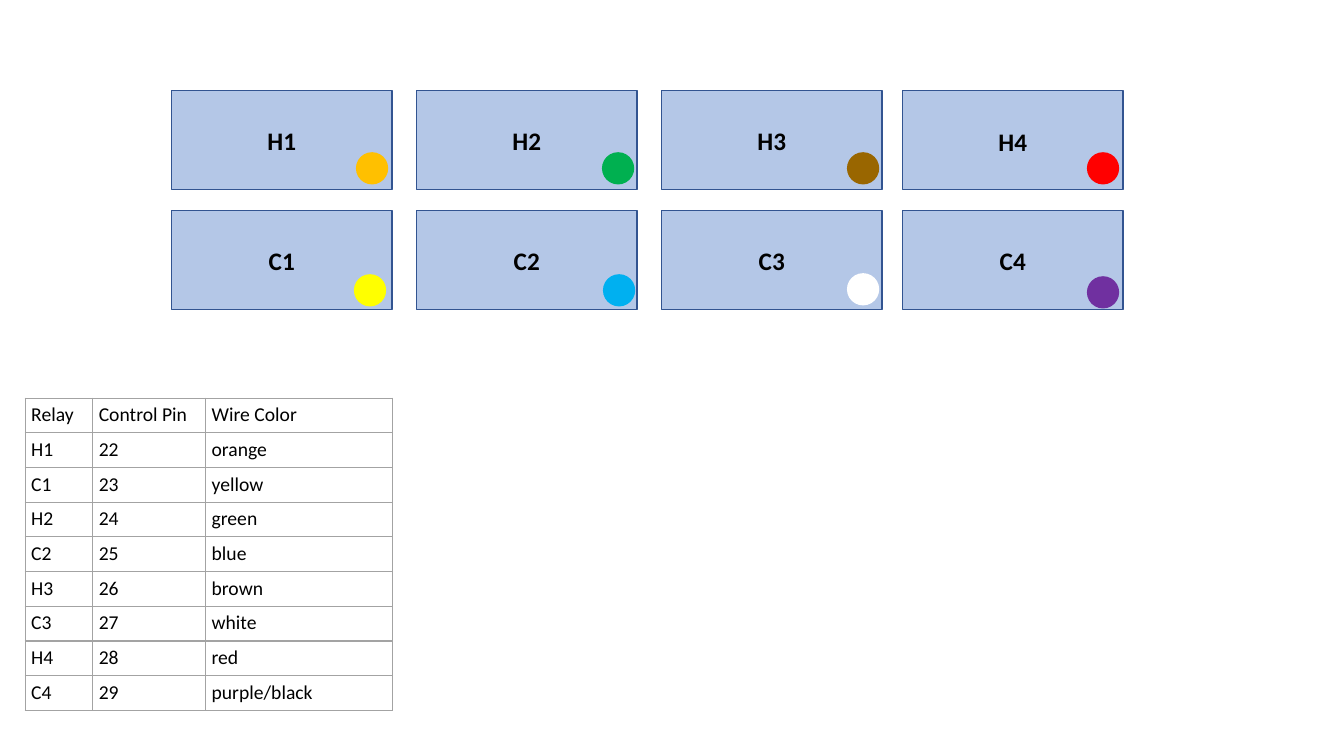
from lxml.etree import SubElement
from pptx import Presentation
from pptx.dml.color import RGBColor
from pptx.enum.shapes import MSO_SHAPE
from pptx.enum.text import MSO_AUTO_SIZE, PP_ALIGN
from pptx.oxml.ns import qn
from pptx.util import Inches, Pt

COLORS = {
    "relay": "B4C7E7", "outline": "325491", "text": "000000", "border": "A3A3A3",
    "orange": "FFC000", "yellow": "FFFF00", "green": "00B050", "blue": "00B0F0",
    "brown": "996600", "white": "FFFFFF", "red": "FF0000", "purple/black": "7030A0",
}
COLUMN_LEFTS = [1.7, 4.13, 6.56, 8.95]
ROW_TOPS = [0.9, 2.09]
RELAY_WIDTH, RELAY_HEIGHT = 2.19, 0.98
LABEL_WIDTH, LABEL_HEIGHT = 0.5, 0.4
DOT_SIZE = 0.32
FIRST_PIN = 22

# Relay, wire color, left and top of its dot; H and C alternate down each column
RELAYS = [
    ("H1", "orange", 3.53, 1.51), ("C1", "yellow", 3.51, 2.72),
    ("H2", "green", 5.97, 1.51), ("C2", "blue", 5.98, 2.72),
    ("H3", "brown", 8.4, 1.51), ("C3", "white", 8.4, 2.71),
    ("H4", "red", 10.78, 1.51), ("C4", "purple/black", 10.78, 2.74),
]


def write(frame, text, size=14, bold=False, align=PP_ALIGN.LEFT):
    para = frame.paragraphs[0]
    para.alignment = align
    span = para.add_run()
    span.text = text
    span.font.name = "Calibri"
    span.font.size = Pt(size)
    span.font.bold = bold
    span.font.color.rgb = RGBColor.from_string(COLORS["text"])


def add_filled(page, kind, left, top, width, height, color):
    shape = page.shapes.add_shape(
        kind, Inches(left), Inches(top), Inches(width), Inches(height))
    shape.shadow.inherit = False
    shape.fill.solid()
    shape.fill.fore_color.rgb = RGBColor.from_string(COLORS[color])
    shape.line.fill.background()
    return shape


deck = Presentation()
deck.slide_width, deck.slide_height = Inches(13.33), Inches(7.5)
page = deck.slides.add_slide(deck.slide_layouts[6])

# Relay blocks with their labels and wire dots
for index, (name, wire, dot_left, dot_top) in enumerate(RELAYS):
    column, row = divmod(index, 2)
    left, top = COLUMN_LEFTS[column], ROW_TOPS[row]
    block = add_filled(page, MSO_SHAPE.RECTANGLE, left, top,
                       RELAY_WIDTH, RELAY_HEIGHT, "relay")
    block.line.color.rgb = RGBColor.from_string(COLORS["outline"])
    block.line.width = Pt(1)

    label_top = top + (RELAY_HEIGHT - LABEL_HEIGHT) / 2
    if name == "H4":
        label_top += 0.01
    label = page.shapes.add_textbox(
        Inches(left + (RELAY_WIDTH - LABEL_WIDTH) / 2), Inches(label_top),
        Inches(LABEL_WIDTH), Inches(LABEL_HEIGHT))
    label.text_frame.word_wrap = True
    label.text_frame.auto_size = MSO_AUTO_SIZE.SHAPE_TO_FIT_TEXT
    write(label.text_frame, name, size=18, bold=True, align=PP_ALIGN.CENTER)

    add_filled(page, MSO_SHAPE.OVAL, dot_left, dot_top, DOT_SIZE, DOT_SIZE, wire)

# Wiring table
rows = [("Relay", "Control Pin", "Wire Color")]
rows += [(name, str(FIRST_PIN + index), wire)
         for index, (name, wire, *_) in enumerate(RELAYS)]
column_widths = [0.67, 1.12, 1.85]
table_height = 3.1
table = page.shapes.add_table(
    len(rows), len(column_widths), Inches(0.25), Inches(3.95),
    Inches(sum(column_widths)), Inches(table_height)).table
table.first_row = table.horz_banding = False
for column, width in zip(table.columns, column_widths):
    column.width = Inches(width)
for row, values in zip(table.rows, rows):
    row.height = Inches(table_height / len(rows))
    for cell, value in zip(row.cells, values):
        cell.margin_left = cell.margin_right = Inches(0.06)
        cell.margin_top = cell.margin_bottom = Inches(0.05)
        write(cell.text_frame, value)
        # Borders come before the fill in the cell properties
        properties = cell._tc.get_or_add_tcPr()
        for side in ("a:lnL", "a:lnR", "a:lnT", "a:lnB"):
            border = SubElement(properties, qn(side), w=str(Pt(1)))
            fill = SubElement(border, qn("a:solidFill"))
            SubElement(fill, qn("a:srgbClr"), val=COLORS["border"])
        cell.fill.background()

deck.save("out.pptx")
